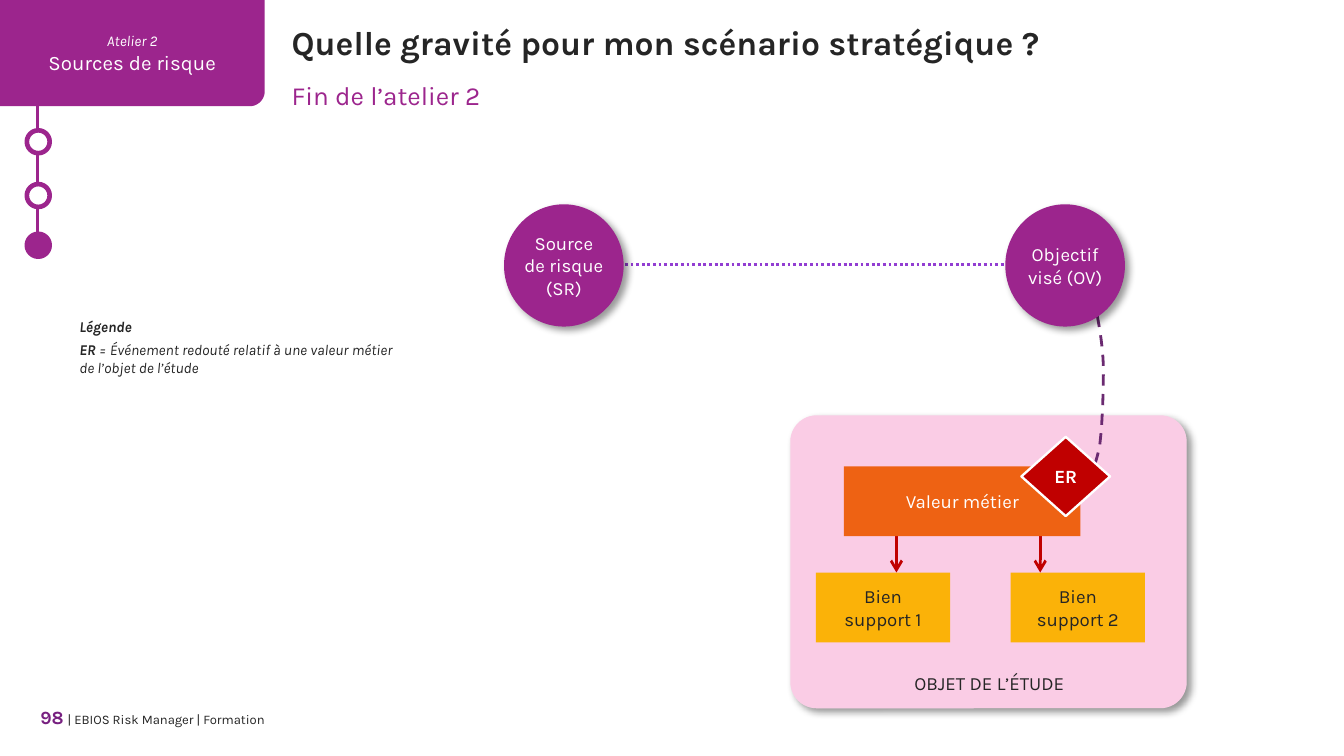
from dataclasses import dataclass

import pptx
import pptx.dml.color
import pptx.enum.dml
import pptx.enum.shapes
import pptx.enum.text
import pptx.oxml
import pptx.oxml.ns
import pptx.util
from lxml import etree

COLORS = {
    "purple": "9C258D", "page": "772080", "dots": "923ED2", "dash": "6B2A71",
    "orange": "EE6213", "amber": "FBB208", "red": "C00000", "pink": "E6007E",
    "ink": "252525", "white": "FFFFFF", "black": "000000",
}
FONT = "Karla"
SHAPES = pptx.enum.shapes.MSO_SHAPE
ALIGN = pptx.enum.text.PP_ALIGN
ANCHOR = pptx.enum.text.MSO_ANCHOR
DASH = pptx.enum.dml.MSO_LINE

deck = pptx.Presentation()
deck.slide_width = pptx.util.Inches(10)
deck.slide_height = deck.slide_width * 9 // 16
slide = deck.slides.add_slide(deck.slide_layouts[0])
CELL = deck.slide_width / 100  # square grid cells, 100 columns across the slide


@dataclass(frozen=True)
class Area:
    """Left, top, width and height in grid cells."""
    column: float
    row: float
    columns: float
    rows: float

    def emu(self) -> list[int]:
        return [cells(n) for n in (self.column, self.row, self.columns, self.rows)]


@dataclass(frozen=True)
class Span:
    text: str
    size: float = 10
    color: str = "ink"
    bold: bool = False
    italic: bool = False


Point = tuple[float, float]
Paragraphs = list[list[Span]]


def cells(count: float) -> int:
    return round(count * CELL)


def rgb(name: str) -> pptx.dml.color.RGBColor:
    return pptx.dml.color.RGBColor.from_string(COLORS[name])


def tag(parent, name: str, **attributes: str):
    return etree.SubElement(parent, pptx.oxml.ns.qn(name), attributes)


def part(shape, name: str):
    """First element of that name in the shape's properties."""
    return shape._element.spPr.find(".//" + pptx.oxml.ns.qn(name))


def write(box, paragraphs: Paragraphs, align=ALIGN.CENTER, anchor=ANCHOR.MIDDLE,
          wrap: bool = True, after: float = 0) -> None:
    frame = box.text_frame
    frame.margin_left = frame.margin_right = frame.margin_top = frame.margin_bottom = 0
    frame.word_wrap, frame.vertical_anchor = wrap, anchor
    frame.auto_size = pptx.enum.text.MSO_AUTO_SIZE.NONE
    for index, spans in enumerate(paragraphs):
        para = frame.add_paragraph() if index else frame.paragraphs[0]
        para.alignment = align
        para.space_before, para.space_after = pptx.util.Pt(0), pptx.util.Pt(after)
        for span in spans:
            for number, line in enumerate(span.text.split("\n")):
                if number:
                    para.add_line_break()
                run = para.add_run()
                run.text = line
                run.font.name, run.font.size = FONT, pptx.util.Pt(span.size)
                run.font.bold, run.font.italic = span.bold, span.italic
                run.font.color.rgb = rgb(span.color)


def paint(shape, fill: str | None, line: str | None = None, weight: float = 1.25,
          shadow: bool = False) -> None:
    shape.shadow.inherit = False
    if fill:
        shape.fill.solid()
        shape.fill.fore_color.rgb = rgb(fill)
    else:
        shape.fill.background()
    if line:
        shape.line.color.rgb, shape.line.width = rgb(line), pptx.util.Pt(weight)
    else:
        shape.line.fill.background()
    if shadow:
        outer = tag(part(shape, "a:effectLst"), "a:outerShdw", blurRad="50800", dist="38100",
                    dir="2700000", algn="tl", rotWithShape="0")
        tag(tag(outer, "a:srgbClr", val=COLORS["black"]), "a:alpha", val="40000")


def draw(kind, area: Area, fill: str, **style):
    shape = slide.shapes.add_shape(kind, *area.emu())
    paint(shape, fill, **style)
    return shape


def text_box(area: Area, paragraphs: Paragraphs, **layout) -> None:
    write(slide.shapes.add_textbox(*area.emu()), paragraphs, **layout)


def connect(start: Point, end: Point, color: str, weight: float, dash=None,
            arrow: bool = False) -> None:
    line = slide.shapes.add_connector(pptx.enum.shapes.MSO_CONNECTOR.STRAIGHT,
                                      *map(cells, start + end))
    line.line.color.rgb, line.line.width = rgb(color), pptx.util.Pt(weight)
    if dash:
        line.line.dash_style = dash
    if arrow:
        tag(part(line, "a:ln"), "a:tailEnd", type="arrow")
    tag(line._element.spPr, "a:effectLst")


def bezier(*points: Point, steps: int = 16) -> list[Point]:
    """Points along a cubic curve given by its four control points."""
    curve = []
    for step in range(steps + 1):
        t = step / steps
        weights = ((1 - t) ** 3, 3 * t * (1 - t) ** 2, 3 * t * t * (1 - t), t ** 3)
        curve.append(tuple(sum(w * p[axis] for w, p in zip(weights, points)) for axis in (0, 1)))
    return curve


def outline(points: list[Point], close: bool):
    first, *rest = [(cells(x), cells(y)) for x, y in points]
    builder = slide.shapes.build_freeform(*first)
    builder.add_line_segments(rest, close=close)
    return builder.convert_to_shape()


def heading(box, area: Area, span: Span) -> None:
    box.left, box.top, box.width, box.height = area.emu()
    write(box, [[span]], align=ALIGN.LEFT, anchor=ANCHOR.TOP)


def draw_progress() -> None:
    connect((2.8, 6.7), (2.8, 19.1), "purple", 1.25)
    for row, fill in ((9.7, "white"), (13.7, "white"), (17.4, "purple")):
        draw(SHAPES.OVAL, Area(2, row, 1.7, 1.7), fill, line="purple", weight=2.5)
    corner = bezier((19.7, 6.8), (19.7, 7.4), (19.2, 7.9), (18.6, 7.9))
    tab = outline([(0, 0), (19.7, 0), *corner, (0, 7.9)], close=True)
    paint(tab, "purple")
    write(tab, [[Span("Atelier 2", 8, "white", italic=True)],
                [Span("Sources de risque", 11, "white")]])


def draw_actor(column: float, label: str) -> None:
    circle = draw(SHAPES.OVAL, Area(column, 15.2, 8.9, 9.1), "purple", shadow=True)
    write(circle, [[Span(label, color="white")]])


def draw_study() -> None:
    panel = Area(58.8, 30.9, 29.5, 21.8)
    for fill, shadow in (("white", True), ("pink", False)):
        card = draw(SHAPES.ROUNDED_RECTANGLE, panel, fill, shadow=shadow)
        card.adjustments[0] = 0.09
    tag(part(card, "a:srgbClr"), "a:alpha", val="20000")
    labels = ([[Span("Bien")], [Span("support 1")]], [[Span("Bien\nsupport 2")]])
    for column, label in zip((60.7, 75.2), labels):
        asset = draw(SHAPES.RECTANGLE, Area(column, 42.6, 10, 5.2), "amber")
        write(asset, label, wrap=False)
    text_box(Area(66.7, 49.7, 13.8, 2.3), [[Span("OBJET DE L’ÉTUDE")]])
    for column in (66.7, 77.4):
        connect((column, 35.8), (column, 42.6), "red", 1.5, arrow=True)
    value = draw(SHAPES.RECTANGLE, Area(62.8, 34.7, 17.6, 5.2), "orange")
    write(value, [[Span("Valeur métier", color="white")]])


def draw_feared_event() -> None:
    upper = bezier((80.6, 35.6), (81.3, 35.2), (81.5, 34.6), (81.8, 33.3))
    lower = bezier((81.8, 33.3), (82, 32), (82.1, 29.4), (82.1, 27.6))
    top = bezier((82.1, 27.6), (82.1, 25.9), (81.8, 24.3), (81.5, 22.7))
    link = outline(upper + lower[1:] + top[1:], close=False)
    paint(link, None, line="dash", weight=1.5)
    link.line.dash_style = DASH.DASH
    event = draw(SHAPES.DIAMOND, Area(76, 32.5, 6.6, 5.9), "red", line="white")
    write(event, [[Span("ER", color="white", bold=True)]])


heading(slide.shapes.title, Area(21.7, 1.6, 74.8, 3),
        Span("Quelle gravité pour mon scénario stratégique ?", 18, bold=True))
heading(slide.placeholders[1], Area(21.7, 5.9, 70.4, 2.4), Span("Fin de l’atelier 2", 14, "purple"))
draw_progress()
text_box(Area(2, 52.5, 17.7, 2),
         [[Span("98", 10, "page", bold=True), Span(" ", 9),
           Span("| EBIOS Risk Manager | Formation", 7)]],
         align=ALIGN.RIGHT, anchor=ANCHOR.TOP)
connect((46.5, 19.7), (74.8, 19.7), "dots", 1.5, dash=DASH.ROUND_DOT)
draw_actor(37.5, "Source\nde risque (SR)")
draw_study()
draw_feared_event()
draw_actor(74.8, "Objectif\nvisé (OV)")
text_box(Area(5.9, 23.6, 23.8, 4.5),
         [[Span("Légende", 8, bold=True, italic=True)],
          [Span("ER", 8, bold=True, italic=True),
           Span(" = Événement redouté relatif à une valeur métier de l’objet de l’étude", 8,
                italic=True)]],
         align=ALIGN.LEFT, anchor=ANCHOR.TOP, after=3)
deck.save("out.pptx")
